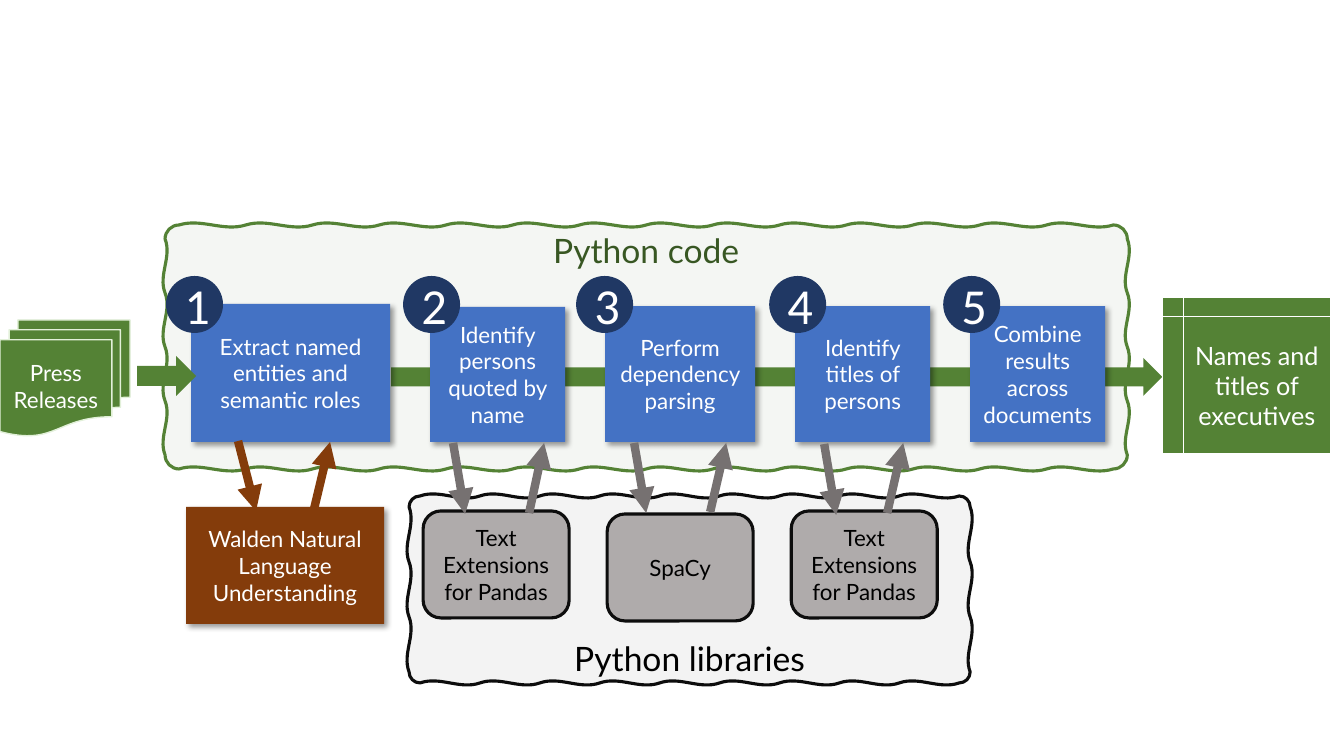
import lxml.etree
import pptx
import pptx.dml.color
import pptx.enum.shapes
import pptx.enum.text
import pptx.oxml.ns
import pptx.util

PX = 914400 / 100.8
SHAPE = pptx.enum.shapes.MSO_SHAPE
ANCHOR = pptx.enum.text.MSO_ANCHOR
qn = pptx.oxml.ns.qn
COLORS = {
    "white": "FFFFFF", "black": "000000", "outline": "0D0D0D", "libraries": "181717",
    "green": "548235", "dark_green": "385723", "pale_green": "E2F0D9",
    "blue": "4472C4", "navy": "203864", "brown": "843C0B",
    "gray": "AFABAB", "dark_gray": "767171",
}


def rgb(name):
    return pptx.dml.color.RGBColor.from_string(COLORS[name])


def style(sp, fill, text="", size=16, color="white", line=None, weight=1,
          font="Lato", anchor=ANCHOR.MIDDLE):
    sp.fill.solid()
    sp.fill.fore_color.rgb = rgb(fill)
    if line:
        sp.line.color.rgb = rgb(line)
        sp.line.width = pptx.util.Pt(weight)
    else:
        sp.line.fill.background()
    sp.shadow.inherit = False
    if text:
        tf = sp.text_frame
        tf.word_wrap = True
        tf.vertical_anchor = anchor
        p = tf.paragraphs[0]
        p.alignment = pptx.enum.text.PP_ALIGN.CENTER
        r = p.add_run()
        r.text = text
        r.font.name = font
        r.font.size = pptx.util.Pt(size)
        r.font.color.rgb = rgb(color)
    return sp


prs = pptx.Presentation()
prs.slide_width = pptx.util.Inches(13.33)
prs.slide_height = pptx.util.Inches(7.5)
s = prs.slides.add_slide(prs.slide_layouts[6])

frames = [
    (165, 225, 962, 244, 14, (14, 4), "dark_green", "green",
     "Python code", "dark_green", ANCHOR.TOP),
    (409, 496, 561, 187, 11, (9, 3), "libraries", "outline",
     "Python libraries", "black", ANCHOR.BOTTOM),
]
for x, y, w, h, radius, waves, fill, line, text, color, anchor in frames:
    start = px, py = x, y + radius
    curves = []
    for side, (dx, dy) in enumerate([(1, 0), (0, 1), (-1, 0), (0, -1)]):
        bend = 0.55 * radius
        ex, ey = px + radius * (dx + dy), py + radius * (dy - dx)
        curves.append([(px + bend * dy, py - bend * dx), (ex - bend * dx, ey - bend * dy), (ex, ey)])
        px, py = ex, ey
        count = waves[side % 2]
        step = ((w if dx else h) - 2 * radius) / count
        for _ in range(count):
            ex, ey = px + step * dx, py + step * dy
            third = step / 3
            curves.append([(px + third * dx + 7 * dy, py + third * dy - 7 * dx),
                           (ex - third * dx - 7 * dy, ey - third * dy + 7 * dx), (ex, ey)])
            px, py = ex, ey
    fb = s.shapes.build_freeform(start[0] * PX, start[1] * PX)
    fb.add_line_segments([(cx * PX, cy * PX) for _, _, (cx, cy) in curves], close=True)
    sp = style(fb.convert_to_shape(), fill, text, 24, color, line, 2.25, anchor=anchor)
    for segment, curve in zip(list(sp.element.iter(qn("a:lnTo"))), curves):
        bezier = lxml.etree.Element(qn("a:cubicBezTo"))
        for cx, cy in curve:
            lxml.etree.SubElement(bezier, qn("a:pt"), x=str(round((cx - x) * PX)),
                                  y=str(round((cy - y) * PX)))
        segment.getparent().replace(segment, bezier)
    clr = sp.element.spPr.find(qn("a:solidFill")).find(qn("a:srgbClr"))
    lxml.etree.SubElement(clr, qn("a:alpha"), val="5000")
    if text == "Python code":
        box = [round(v * PX) for v in (391, 358, 771, 38)]
        style(s.shapes.add_shape(SHAPE.RIGHT_ARROW, *box), "green")

steps = [
    (191, 304, 199, 138, "blue", "Extract named entities and semantic roles"),
    (430, 307, 135, 135, "blue", "Identify persons quoted by name"),
    (605, 306, 150, 136, "blue", "Perform dependency parsing"),
    (795, 306, 135, 136, "blue", "Identify titles of persons"),
    (970, 306, 135, 136, "blue", "Combine results across documents"),
    (186, 507, 198, 117, "brown", "Walden Natural Language Understanding"),
]
for x, y, w, h, fill, text in steps:
    box = [round(v * PX) for v in (x, y, w, h)]
    sp = style(s.shapes.add_shape(SHAPE.RECTANGLE, *box), fill, text)
    effects = sp.element.spPr.find(qn("a:effectLst"))
    shadow = lxml.etree.SubElement(effects, qn("a:outerShdw"), blurRad="50800",
                                   dist="38100", dir="2700000", algn="tl", rotWithShape="0")
    clr = lxml.etree.SubElement(shadow, qn("a:srgbClr"), val=COLORS["black"])
    lxml.etree.SubElement(clr, qn("a:alpha"), val="40000")

for x, y, text in [(423, 511, "Text Extensions for Pandas"), (607, 514, "SpaCy"),
                   (791, 511, "Text Extensions for Pandas")]:
    box = [round(v * PX) for v in (x, y, 146, 107)]
    sp = s.shapes.add_shape(SHAPE.ROUNDED_RECTANGLE, *box)
    style(sp, "gray", text, color="black", line="outline", weight=2.25)

documents = [
    (SHAPE.FLOWCHART_MULTIDOCUMENT, 0, 320, 130, 116, "Press Releases", 16, "pale_green"),
    (SHAPE.FLOWCHART_INTERNAL_STORAGE, 1162, 297, 168, 157,
     "Names and titles of executives", 18, "white"),
    (SHAPE.RIGHT_ARROW, 137, 356, 59, 40, "", 16, None),
]
for kind, x, y, w, h, text, size, line in documents:
    box = [round(v * PX) for v in (x, y, w, h)]
    style(s.shapes.add_shape(kind, *box), "green", text, size, line=line)

calls = [
    (453, 443, 465, 514, "dark_gray"), (529, 513, 544, 443, "dark_gray"),
    (634, 443, 646, 513, "dark_gray"), (710, 512, 726, 443, "dark_gray"),
    (824, 444, 836, 515, "dark_gray"), (887, 513, 903, 443, "dark_gray"),
    (238, 441, 256, 511, "brown"), (313, 513, 330, 442, "brown"),
]
for x1, y1, x2, y2, color in calls:
    ends = [round(v * PX) for v in (x1, y1, x2, y2)]
    cn = s.shapes.add_connector(pptx.enum.shapes.MSO_CONNECTOR.STRAIGHT, *ends)
    cn.line.color.rgb = rgb(color)
    cn.line.width = pptx.util.Pt(6)
    ln = cn.element.spPr.find(qn("a:ln"))
    lxml.etree.SubElement(ln, qn("a:tailEnd"), type="triangle")
    lxml.etree.SubElement(cn.element.spPr, qn("a:effectLst"))

for number, x in enumerate([166, 403, 576, 769, 943], 1):
    box = [round(v * PX) for v in (x, 276, 57, 57)]
    sp = s.shapes.add_shape(SHAPE.OVAL, *box)
    style(sp, "navy", str(number), 36, font="Calibri")

prs.save("out.pptx")
